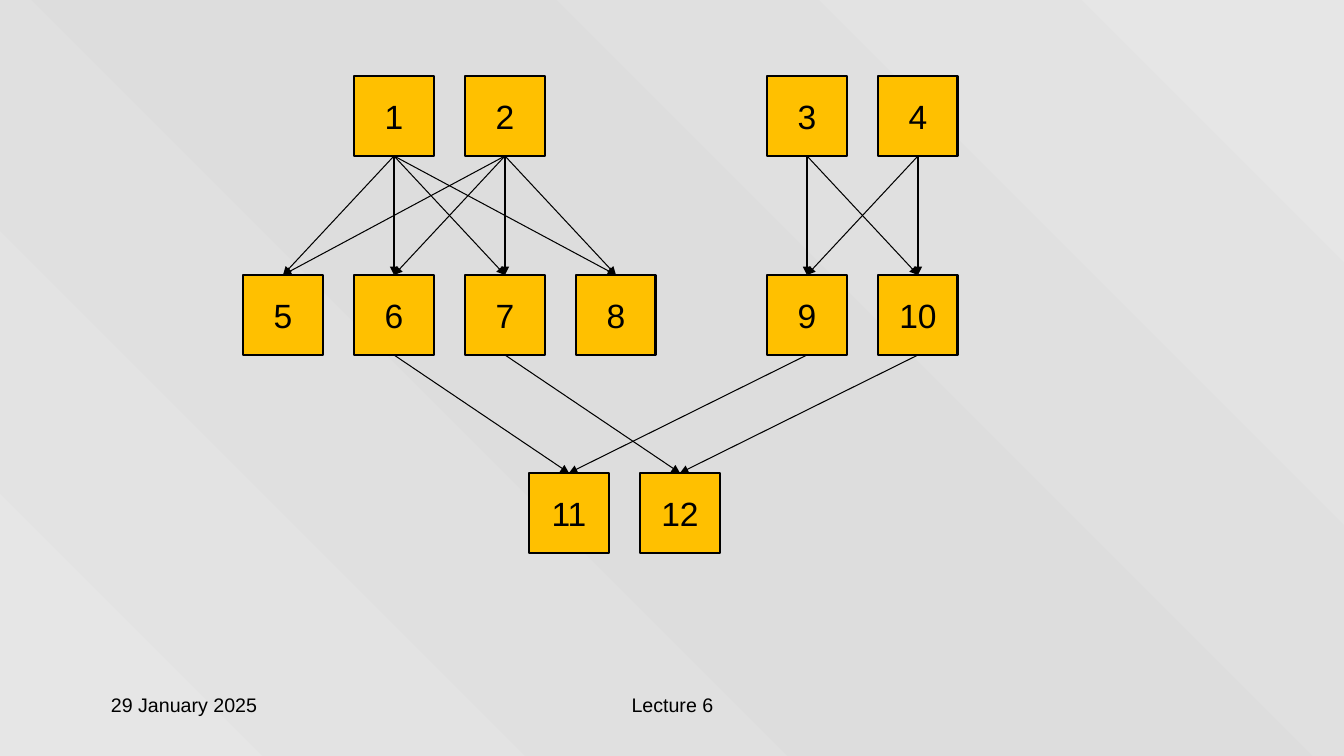
from copy import deepcopy

from lxml.etree import SubElement
from pptx import Presentation
from pptx.dml.color import RGBColor
from pptx.enum.shapes import MSO_CONNECTOR, MSO_SHAPE
from pptx.enum.text import MSO_ANCHOR as ANCHOR, PP_ALIGN as ALIGN
from pptx.oxml.ns import qn
from pptx.util import Emu, Pt

SLIDE_WIDTH, SLIDE_HEIGHT = 1344, 756
BOX_SIZE, BOX_PITCH = 80, 111
BOTTOM, TOP = 2, 0

BOX_RUNS = [
    (354, 76, [1, 2]),
    (767, 76, [3, 4]),
    (243, 275, [5, 6, 7, 8]),
    (767, 275, [9, 10]),
    (529, 473, [11, 12]),
]
TARGETS = {
    1: [5, 6, 7, 8],
    2: [5, 6, 7, 8],
    3: [9, 10],
    4: [9, 10],
    6: [11],
    7: [12],
    9: [11],
    10: [12],
}


def px(length):
    return Emu(round(length * 12192000 / SLIDE_WIDTH))


def color(value):
    return RGBColor.from_string(value)


class Diagram:
    font_name = "Arial"
    ink = "000000"
    box_fill = "FFC000"

    def __init__(self, slide):
        self.slide = slide

    def background(self, stops):
        fill = self.slide.background.fill
        fill.gradient()
        fill.gradient_angle = 45
        stop_list = next(self.slide.element.iter(qn("a:gsLst")))
        while len(stop_list) < len(stops):
            stop_list.append(deepcopy(stop_list[0]))
        for stop, (position, value) in zip(fill.gradient_stops, stops):
            stop.position = position
            stop.color.rgb = color(value)

    def label(self, shape, text, size, align):
        shape.text_frame.text = text
        paragraph = shape.text_frame.paragraphs[0]
        paragraph.alignment = align
        font = paragraph.runs[0].font
        font.name = self.font_name
        font.size = Pt(size)
        font.color.rgb = color(self.ink)

    def footer(self, left, width, text, align):
        shape = self.slide.shapes.add_textbox(px(left), px(688), px(width), px(50))
        shape.text_frame.word_wrap = True
        self.label(shape, text, 14, align)

    def box(self, left, top, number):
        shape = self.slide.shapes.add_shape(
            MSO_SHAPE.RECTANGLE, px(left), px(top), px(BOX_SIZE), px(BOX_SIZE))
        shape.shadow.inherit = False
        shape.fill.solid()
        shape.fill.fore_color.rgb = color(self.box_fill)
        shape.line.color.rgb = color(self.ink)
        shape.line.width = Pt(2)
        shape.text_frame.vertical_anchor = ANCHOR.MIDDLE
        self.label(shape, str(number), 24, ALIGN.CENTER)
        return shape

    def arrow(self, source, target):
        connector = self.slide.shapes.add_connector(MSO_CONNECTOR.STRAIGHT, 0, 0, 0, 0)
        connector.begin_connect(source, BOTTOM)
        connector.end_connect(target, TOP)
        connector.line.color.rgb = color(self.ink)
        connector.line.width = Pt(0.75)
        properties = connector.element.spPr
        SubElement(properties.find(qn("a:ln")), qn("a:tailEnd"), type="triangle")
        SubElement(properties, qn("a:effectLst"))


def main():
    presentation = Presentation()
    presentation.slide_width = px(SLIDE_WIDTH)
    presentation.slide_height = px(SLIDE_HEIGHT)
    diagram = Diagram(presentation.slides.add_slide(presentation.slide_layouts[6]))
    diagram.background([(0, "E6E6E6"), (0.5, "DDDDDD"), (1, "E6E6E6")])
    diagram.footer(101, 280, "29 January 2025", ALIGN.LEFT)
    diagram.footer(460, 425, "Lecture 6", ALIGN.CENTER)

    boxes = {}
    for left, top, numbers in BOX_RUNS:
        for column, number in enumerate(numbers):
            boxes[number] = diagram.box(left + column * BOX_PITCH, top, number)
    for source, targets in TARGETS.items():
        for target in targets:
            diagram.arrow(boxes[source], boxes[target])

    presentation.save("out.pptx")


if __name__ == "__main__":
    main()
